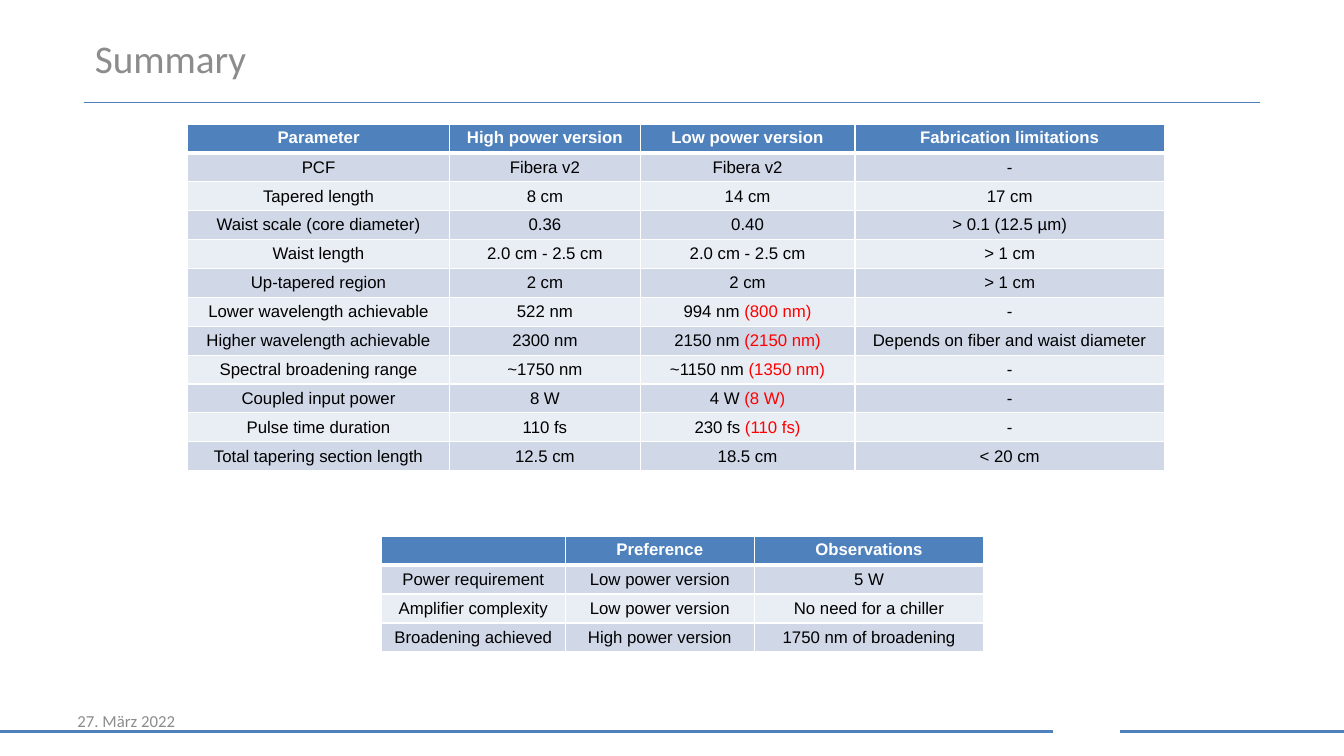
from lxml import etree
from pptx import Presentation
from pptx.dml.color import RGBColor
from pptx.enum.shapes import MSO_CONNECTOR
from pptx.enum.text import MSO_ANCHOR, PP_ALIGN
from pptx.oxml.ns import qn
from pptx.util import Inches, Pt

STRAIGHT = MSO_CONNECTOR.STRAIGHT
TOP, MIDDLE = MSO_ANCHOR.TOP, MSO_ANCHOR.MIDDLE
LEFT, CENTER = PP_ALIGN.LEFT, PP_ALIGN.CENTER
TITLE_ONLY = 5

BLUE, RULE_BLUE, GRAY = "4F81BD", "4B7EBC", "8C8C8C"
WHITE, BLACK, RED = "FFFFFF", "000000", "FF0000"
BANDS = ["D0D8E8", "E9EDF4"]

PARAMETERS = [
    ["Parameter", "High power version", "Low power version", "Fabrication limitations"],
    ["PCF", "Fibera v2", "Fibera v2", "-"],
    ["Tapered length", "8 cm", "14 cm", "17 cm"],
    ["Waist scale (core diameter)", "0.36", "0.40", "> 0.1 (12.5 µm)"],
    ["Waist length", "2.0 cm - 2.5 cm", "2.0 cm - 2.5 cm", "> 1 cm"],
    ["Up-tapered region", "2 cm", "2 cm", "> 1 cm"],
    ["Lower wavelength achievable", "522 nm", ("994 nm ", "(800 nm)"), "-"],
    ["Higher wavelength achievable", "2300 nm", ("2150 nm ", "(2150 nm)"),
     "Depends on fiber and waist diameter"],
    ["Spectral broadening range", "~1750 nm", ("~1150 nm ", "(1350 nm)"), "-"],
    ["Coupled input power", "8 W", ("4 W ", "(8 W)"), "-"],
    ["Pulse time duration", "110 fs", ("230 fs ", "(110 fs)"), "-"],
    ["Total tapering section length", "12.5 cm", "18.5 cm", "< 20 cm"],
]
PREFERENCES = [
    ["", "Preference", "Observations"],
    ["Power requirement", "Low power version", "5 W"],
    ["Amplifier complexity", "Low power version", "No need for a chiller"],
    ["Broadening achieved", "High power version", "1750 nm of broadening"],
]


def rgb(color):
    return RGBColor.from_string(color)


class SlideBuilder:
    heading_font = "Calibri"
    table_font = "Arial"
    table_size = 12
    row_height = 3.44 / 12

    def __init__(self, prs):
        self.s = prs.slides.add_slide(prs.slide_layouts[TITLE_ONLY])

    def add_text(self, p, text, color, align=LEFT, **font):
        p.alignment = align
        r = p.add_run()
        r.text = text
        for name, value in font.items():
            setattr(r.font, name, value)
        r.font.color.rgb = rgb(color)

    def frame(self, sp, at, text, size, anchor):
        for name, value in zip(("left", "top", "width", "height"), at):
            setattr(sp, name, Inches(value))
        tf = sp.text_frame
        tf.word_wrap = True
        tf.vertical_anchor = anchor
        self.add_text(tf.paragraphs[0], text, GRAY, size=Pt(size), name=self.heading_font)

    def title(self, at, text):
        self.frame(self.s.shapes.title, at, text, 28, TOP)

    def label(self, at, text):
        sp = self.s.shapes.add_textbox(0, 0, 0, 0)
        self.frame(sp, at, text, 12, MIDDLE)

    def rule(self, x1, x2, y, color, width):
        y = Inches(y)
        line = self.s.shapes.add_connector(STRAIGHT, Inches(x1), y, Inches(x2), y)
        line.line.color.rgb = rgb(color)
        line.line.width = Pt(width)
        etree.SubElement(line._element.spPr, qn("a:effectLst"))

    def borders(self, cell, widths):
        tcPr = cell._tc.get_or_add_tcPr()
        for i, (side, width) in enumerate(widths.items()):
            ln = etree.Element(qn("a:ln" + side), w=str(Pt(width)))
            fill = etree.SubElement(ln, qn("a:solidFill"))
            etree.SubElement(fill, qn("a:srgbClr"), val=WHITE)
            tcPr.insert(i, ln)

    def cell(self, cell, content, row):
        header = row == 0
        style = {
            "margin_top": Inches(0.04),
            "margin_bottom": Inches(0.04),
            "vertical_anchor": TOP if header else MIDDLE,
        }
        for name, value in style.items():
            setattr(cell, name, value)
        cell.fill.solid()
        cell.fill.fore_color.rgb = rgb(BLUE if header else BANDS[(row - 1) % 2])
        self.borders(cell, {"L": 1, "R": 1, "T": 3 if row == 1 else 1, "B": 3 if header else 1})
        p = cell.text_frame.paragraphs[0]
        if not content:
            etree.SubElement(p._p, qn("a:endParaRPr"), sz=str(self.table_size * 100))
            return
        parts = (content,) if isinstance(content, str) else content
        for text, color in zip(parts, (WHITE if header else BLACK, RED)):
            self.add_text(p, text, color, CENTER, size=Pt(self.table_size),
                          name=self.table_font, bold=header)

    def table(self, left, top, widths, rows):
        height = self.row_height * len(rows)
        tbl = self.s.shapes.add_table(len(rows), len(widths), Inches(left), Inches(top),
                                      Inches(sum(widths)), Inches(height)).table
        for column, width in zip(tbl.columns, widths):
            column.width = Inches(width)
        for i, values in enumerate(rows):
            tbl.rows[i].height = Inches(self.row_height)
            for j, content in enumerate(values):
                self.cell(tbl.cell(i, j), content, i)


def main():
    prs = Presentation()
    prs.slide_width, prs.slide_height = Inches(13.33), Inches(7.5)
    slide = SlideBuilder(prs)
    slide.rule(0, 10.44, 7.26, BLUE, 2.25)
    slide.rule(0.83, 12.5, 1.02, RULE_BLUE, 0.75)
    slide.rule(11.11, 13.33, 7.26, BLUE, 2.25)
    slide.label((0.67, 6.95, 3.11, 0.4), "27. März 2022")
    slide.title((0.84, 0.29, 10, 0.74), "Summary")
    slide.table(1.86, 1.23, [2.6, 1.89, 2.13, 3.07], PARAMETERS)
    slide.table(3.78, 5.32, [1.83, 1.87, 2.28], PREFERENCES)
    prs.save("out.pptx")


if __name__ == "__main__":
    main()
